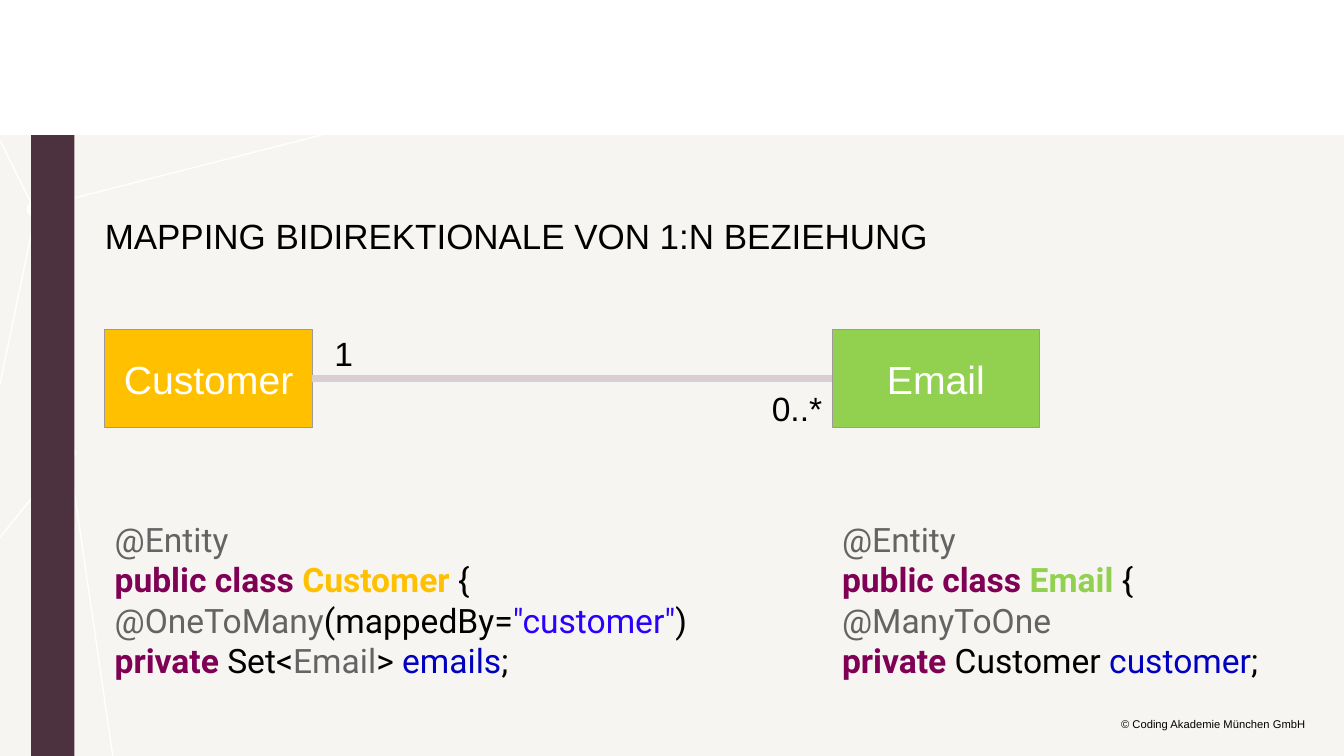
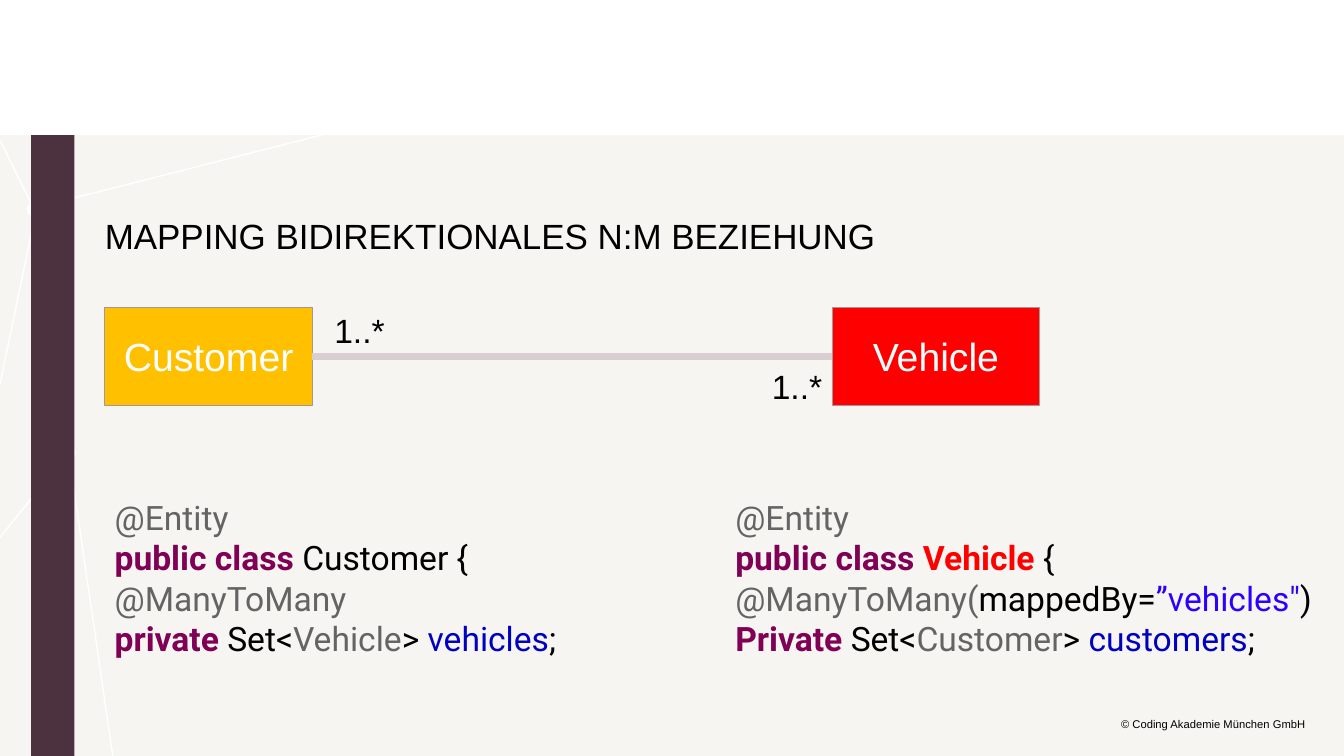
from pptx import Presentation
from pptx.dml.color import RGBColor
from pptx.enum.shapes import MSO_CONNECTOR, MSO_SHAPE
from pptx.enum.text import MSO_ANCHOR, MSO_AUTO_SIZE, PP_ALIGN
from pptx.oxml.ns import qn
from pptx.util import Inches, Pt
from lxml import etree

WIDTH, HEIGHT = 13.34, 7.5
PANEL_TOP = 1.34
MARGIN = 1.04
BOX_WIDTH, BOX_HEIGHT = 2.06, 0.97
BOX_DISTANCE = 7.22  # from the left edge of one entity to the next

WHITE, BLACK = "FFFFFF", "000000"
PANEL, BAND = "F7F5F1", "4B323E"
OUTLINE, RELATION = "A1989B", "D9CED1"
ORANGE, GREEN, RED = "FFC000", "92D050", "FF0000"

# Code styles: colour and bold
PLAIN = (BLACK, False)
MUTED = ("646464", False)
KEYWORD = ("7F0055", True)
STRING = ("2A00FF", False)
FIELD = ("0000C0", False)

# White network behind the band, cut at the panel's edges
NODES = [(0.27, 2.01), (0.62, 4.43)]
NODE_SIZE = 0.13
THREADS = [
    ((0.33, 2.08), (1.12, 7.5)),
    ((0.34, 2.08), (0, 1.39)),
    ((0.36, 2.06), (3.19, 1.34)),
    ((0.72, 4.44), (0, 5.33)),
    ((0.36, 2.08), (0, 3.81)),
]


def color(value):
    return RGBColor.from_string(value)


def set_font(font, size, value, name="Arial"):
    font.name, font.size = name, Pt(size)
    font.color.rgb = color(value)


def add_block(page, kind, left, top, width, height, fill, outline=None, weight=1):
    block = page.shapes.add_shape(
        kind, Inches(left), Inches(top), Inches(width), Inches(height))
    block.shadow.inherit = False
    block.fill.solid()
    block.fill.fore_color.rgb = color(fill)
    if outline:
        block.line.color.rgb = color(outline)
        block.line.width = Pt(weight)
    else:
        block.line.fill.background()
    return block


def add_line(page, start, end, value, weight):
    line = page.shapes.add_connector(
        MSO_CONNECTOR.STRAIGHT, *(Inches(length) for length in (*start, *end)))
    line.line.color.rgb = color(value)
    line.line.width = Pt(weight)
    etree.SubElement(line._element.spPr, qn("a:effectLst"))
    return line


def add_text_box(page, left, top, width, height):
    box = page.shapes.add_textbox(
        Inches(left), Inches(top), Inches(width), Inches(height))
    box.text_frame.word_wrap = True
    return box.text_frame


def clear_insets(frame):
    frame.margin_left = frame.margin_top = 0
    frame.margin_right = frame.margin_bottom = 0


def add_label(page, left, top, width, height, text, size, align):
    frame = add_text_box(page, left, top, width, height)
    para = frame.paragraphs[0]
    para.text, para.alignment = text, align
    set_font(para.font, size, BLACK)
    return frame


def draw_backdrop(page):
    # Panel and network
    add_block(page, MSO_SHAPE.RECTANGLE, 0, PANEL_TOP, WIDTH, HEIGHT - PANEL_TOP, PANEL)
    for left, top in NODES:
        add_block(page, MSO_SHAPE.OVAL, left, top, NODE_SIZE, NODE_SIZE, WHITE, WHITE)
    for start, end in THREADS:
        add_line(page, start, end, WHITE, 1)
    # Copyright line
    footer = add_label(page, 9.03, 7.13, 3.93, 0.13,
                       "© Coding Akademie München GmbH", 8, PP_ALIGN.RIGHT)
    clear_insets(footer)
    footer.vertical_anchor = MSO_ANCHOR.MIDDLE
    footer.paragraphs[0].line_spacing = 0.93
    # Side band
    add_block(page, MSO_SHAPE.RECTANGLE, 0.31, PANEL_TOP, 0.43, HEIGHT - PANEL_TOP, BAND)


def place_title(page, text):
    title = page.shapes.title
    title.left, title.top = Inches(MARGIN), Inches(2.13)
    title.width, title.height = Inches(9.71), Inches(0.42)
    frame = title.text_frame
    frame.text = text
    clear_insets(frame)
    frame.auto_size = MSO_AUTO_SIZE.NONE
    frame.vertical_anchor = MSO_ANCHOR.TOP
    frame.paragraphs[0].alignment = PP_ALIGN.LEFT
    set_font(frame.paragraphs[0].font, 25, BLACK)
    # Bring the title in front of the panel
    title.element.getparent().append(title.element)


def add_entity(page, left, top, name, fill):
    entity = add_block(page, MSO_SHAPE.RECTANGLE, left, top,
                       BOX_WIDTH, BOX_HEIGHT, fill, OUTLINE, 0.85)
    frame = entity.text_frame
    frame.vertical_anchor = MSO_ANCHOR.MIDDLE
    para = frame.paragraphs[0]
    para.text, para.alignment = name, PP_ALIGN.CENTER
    set_font(para.font, 28, WHITE)
    return entity


def draw_relation(page, left, top, source, target):
    """Two entities, each (name, fill, multiplicity), joined by a line."""
    target_left = left + BOX_DISTANCE
    first = add_entity(page, left, top, *source[:2])
    second = add_entity(page, target_left, top, *target[:2])
    add_label(page, left + 2.18, top - 0.02, 1, 0.5, source[2], 24, PP_ALIGN.LEFT)
    add_label(page, target_left - 1, top + 0.53, 1, 0.5, target[2], 24, PP_ALIGN.RIGHT)
    middle = top + BOX_HEIGHT / 2
    line = add_line(page, (left + BOX_WIDTH, middle), (target_left, middle), RELATION, 5)
    line.begin_connect(first, 3)
    line.end_connect(second, 1)


def draw_code(page, left, top, width, lines):
    """Lines of spans, each (text, style)."""
    frame = add_text_box(page, left, top, width, 1.72)
    for index, spans in enumerate(lines):
        para = frame.add_paragraph() if index else frame.paragraphs[0]
        for text, (value, bold) in spans:
            span = para.add_run()
            span.text = text
            set_font(span.font, 24, value, "Roboto")
            span.font.bold = bold


def build_mapping_page(deck, title, top, source, target, listings):
    page = deck.slides.add_slide(deck.slide_layouts[5])
    draw_backdrop(page)
    place_title(page, title)
    draw_relation(page, MARGIN, top, source, target)
    for left, width, lines in listings:
        draw_code(page, left, top + 1.83, width, lines)


ENTITY = [("@Entity", MUTED)]

# Code for the 1:n relation
CUSTOMER_ONE = [
    ENTITY,
    [("public class ", KEYWORD), ("Customer", (ORANGE, True)), (" {", PLAIN)],
    [("@OneToMany", MUTED), ("(mappedBy=", PLAIN), ('"customer"', STRING), (")", PLAIN)],
    [("private", KEYWORD), (" Set<", PLAIN), ("Email", MUTED), ("> ", PLAIN),
     ("emails", FIELD), (";", PLAIN)],
]
EMAIL = [
    ENTITY,
    [("public class ", KEYWORD), ("Email", (GREEN, True)), (" {", PLAIN)],
    [("@ManyToOne", MUTED)],
    [("private", KEYWORD), (" Customer ", PLAIN), ("customer", FIELD), (";", PLAIN)],
]

# Code for the n:m relation
CUSTOMER_MANY = [
    ENTITY,
    [("public class", KEYWORD), (" Customer {", PLAIN)],
    [("@ManyToMany", MUTED)],
    [("private", KEYWORD), (" Set<", PLAIN), ("Vehicle", MUTED), ("> ", PLAIN),
     ("vehicles", FIELD), (";", PLAIN)],
]
VEHICLE = [
    ENTITY,
    [("public class ", KEYWORD), ("Vehicle", (RED, True)), (" {", PLAIN)],
    [("@ManyToMany(", MUTED), ("mappedBy=", PLAIN), ('”vehicles"', STRING), (")", PLAIN)],
    [("Private ", KEYWORD), ("Set<", PLAIN), ("Customer", MUTED), ("> ", PLAIN),
     ("customers", FIELD), (";", PLAIN)],
]


def main():
    deck = Presentation()
    deck.slide_width, deck.slide_height = Inches(WIDTH), Inches(HEIGHT)
    build_mapping_page(
        deck, "MAPPING BIDIREKTIONALE VON 1:N BEZIEHUNG", 3.27,
        ("Customer", ORANGE, "1"), ("Email", GREEN, "0..*"),
        [(MARGIN, 6.03, CUSTOMER_ONE), (8.26, 4.76, EMAIL)])
    build_mapping_page(
        deck, "MAPPING BIDIREKTIONALES N:M BEZIEHUNG", 3.05,
        ("Customer", ORANGE, "1..*"), ("Vehicle", RED, "1..*"),
        [(MARGIN, 5.57, CUSTOMER_MANY), (7.2, 6.05, VEHICLE)])
    deck.save("out.pptx")


if __name__ == "__main__":
    main()
